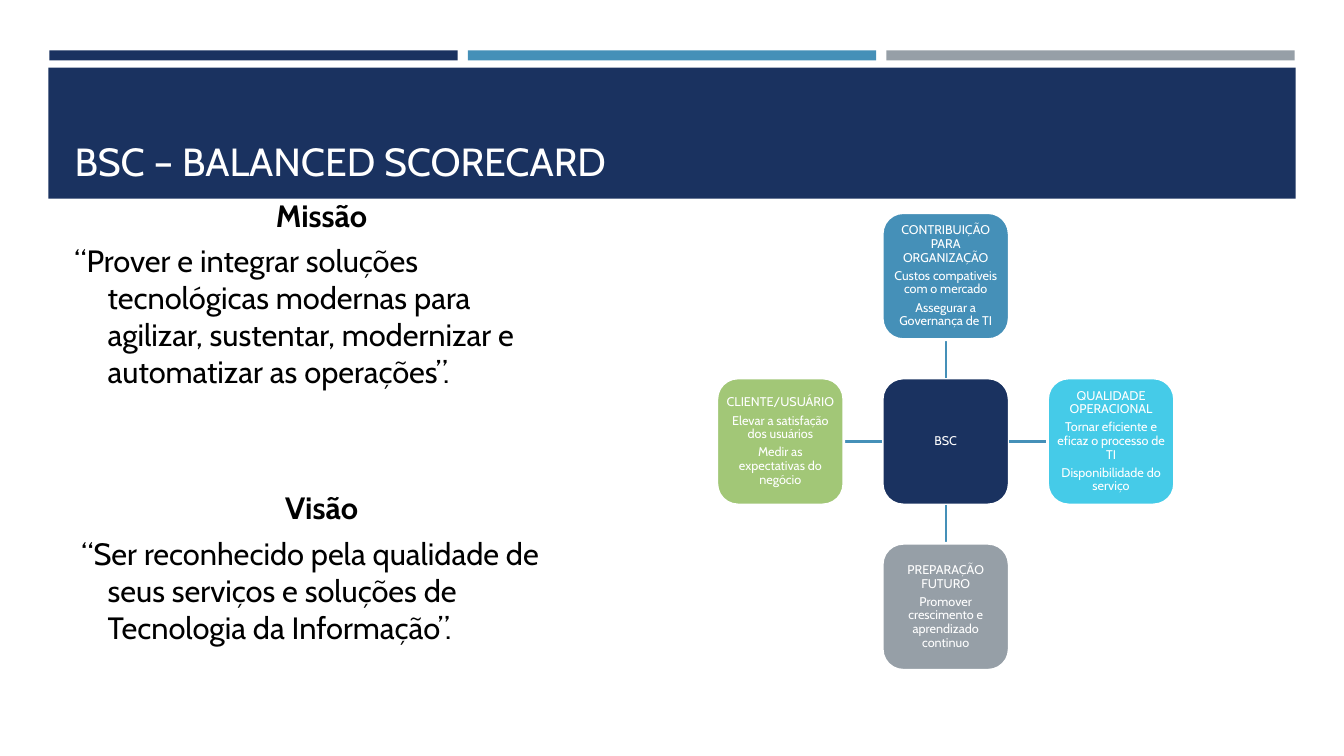
"""Builds the balanced scorecard slide with mission, vision and a BSC map."""
import dataclasses

import lxml.etree
import pptx
import pptx.dml.color
import pptx.enum.shapes
import pptx.enum.text
import pptx.oxml.ns
import pptx.shapes.autoshape
import pptx.slide
import pptx.text.text
import pptx.util

SCALE = 9144
FONT = "Cabin"
NAVY, BLUE, GREY = "1A3260", "4590B8", "969FA7"
GREEN, CYAN, WHITE, BLACK = "A2C777", "45CBE8", "FFFFFF", "000000"
HUB_X, HUB_Y, SIDE, STEP = 875, 375, 126, 164

Kind = pptx.enum.shapes.MSO_SHAPE
Align = pptx.enum.text.PP_ALIGN
Anchor = pptx.enum.text.MSO_ANCHOR


@dataclasses.dataclass
class Bar:
    left: int
    top: int
    width: int
    height: int
    fill: str


@dataclasses.dataclass
class Card:
    col: int
    row: int
    fill: str
    lines: list[str]
    kind: Kind = Kind.ROUNDED_RECTANGLE


@dataclasses.dataclass
class Part:
    head: str
    quote: str
    gap: int


BARS = [
    Bar(49, 50, 405, 10, NAVY),
    Bar(464, 50, 405, 10, BLUE),
    Bar(879, 50, 405, 10, GREY),
    Bar(48, 67, 1237, 130, NAVY),
]

HUB = Card(0, 0, NAVY, ["BSC"])
CARDS = [
    Card(0, -1, BLUE, ["CONTRIBUIÇÃO PARA ORGANIZAÇÃO",
                       "Custos compativeis com o mercado",
                       "Assegurar a Governança de TI"], Kind.FLOWCHART_ALTERNATE_PROCESS),
    Card(1, 0, CYAN, ["QUALIDADE OPERACIONAL",
                      "Tornar eficiente e eficaz o processo de TI",
                      "Disponibilidade do serviço"]),
    Card(0, 1, GREY, ["PREPARAÇÃO FUTURO",
                      "Promover crescimento e aprendizado continuo"]),
    Card(-1, 0, GREEN, ["CLIENTE/USUÁRIO",
                        "Elevar a satisfação dos usuários",
                        "Medir as expectativas do negócio"]),
]

PARTS = [
    Part("Missão", "“Prover e integrar soluções tecnológicas modernas para agilizar, "
         "sustentar, modernizar e automatizar as operações”.", 0),
    Part("Visão", " “Ser reconhecido pela qualidade de seus serviços e soluções "
         "de Tecnologia da Informação”.", 65),
]


def px(count: int) -> pptx.util.Emu:
    """Turn px into EMU."""
    return pptx.util.Emu(count * SCALE)


def paint(target: object, code: str) -> None:
    """Give a fill or a line one plain colour."""
    if hasattr(target, "solid"):
        target.solid()
        target.fore_color.rgb = pptx.dml.color.RGBColor.from_string(code)
    else:
        target.color.rgb = pptx.dml.color.RGBColor.from_string(code)


def style(para: pptx.text.text._Paragraph, size: int, code: str,
          align: Align, bold: bool = False) -> None:
    """Format a paragraph and its runs."""
    para.alignment = align
    for run in para.runs:
        run.font.name = FONT
        run.font.size = pptx.util.Pt(size)
        run.font.bold = bold
        paint(run.font, code)


def draw_bar(slide: pptx.slide.Slide, bar: Bar) -> pptx.shapes.autoshape.Shape:
    """Draw a plain band."""
    shape = slide.shapes.add_shape(
        Kind.RECTANGLE, px(bar.left), px(bar.top), px(bar.width), px(bar.height))
    shape.shadow.inherit = False
    paint(shape.fill, bar.fill)
    shape.line.fill.background()
    return shape


def draw_card(slide: pptx.slide.Slide, card: Card) -> None:
    """Draw a card at its place around the hub."""
    shape = slide.shapes.add_shape(
        card.kind, px(HUB_X + card.col * STEP), px(HUB_Y + card.row * STEP),
        px(SIDE), px(SIDE))
    shape.shadow.inherit = False
    paint(shape.fill, card.fill)
    paint(shape.line, WHITE)
    shape.line.width = pptx.util.Pt(2)
    frame = shape.text_frame
    frame.word_wrap = True
    frame.vertical_anchor = Anchor.MIDDLE
    frame.margin_left = frame.margin_right = px(1)
    frame.margin_top = frame.margin_bottom = px(1)
    frame.text = "\n".join(card.lines)
    for para in frame.paragraphs:
        style(para, 9, WHITE, Align.CENTER)
        para.line_spacing = 0.9
        para.space_after = pptx.util.Pt(3.2)


def draw_link(slide: pptx.slide.Slide, card: Card) -> None:
    """Draw the line from the hub edge to a card edge."""
    half = SIDE // 2
    mid_x, mid_y = HUB_X + half, HUB_Y + half
    near, far = half, STEP - half
    link = slide.shapes.add_connector(
        pptx.enum.shapes.MSO_CONNECTOR.STRAIGHT,
        px(mid_x + card.col * near), px(mid_y + card.row * near),
        px(mid_x + card.col * far), px(mid_y + card.row * far))
    paint(link.line, BLUE)
    link.line.width = pptx.util.Pt(1.75)
    lxml.etree.SubElement(link.element.spPr, pptx.oxml.ns.qn("a:effectLst"))


def draw_title(slide: pptx.slide.Slide, band: pptx.shapes.autoshape.Shape) -> None:
    """Set the title on top of its band."""
    title = slide.shapes.title
    band.element.addnext(title.element)
    title.left, title.top, title.width, title.height = px(64), px(77), px(1206), px(111)
    frame = title.text_frame
    frame.text = "BSC – BALANCED SCORECARD"
    frame.vertical_anchor = Anchor.BOTTOM
    frame.auto_size = pptx.enum.text.MSO_AUTO_SIZE.NONE
    style(frame.paragraphs[0], 28, WHITE, Align.LEFT)


def draw_body(slide: pptx.slide.Slide) -> None:
    """Write the mission and the vision."""
    frame = slide.shapes.add_textbox(px(64), px(239), px(510), px(402)).text_frame
    frame.word_wrap = True
    frame.vertical_anchor = Anchor.MIDDLE
    frame.margin_bottom = px(50)
    frame.text = "\n".join(text for part in PARTS for text in (part.head, part.quote))
    for para in frame.paragraphs:
        para.space_after = pptx.util.Pt(6)
        props = para._p.get_or_add_pPr()
        props.set("marL", str(px(33)))
        props.set("indent", str(px(-33)))
    for part, head, quote in zip(PARTS, frame.paragraphs[::2], frame.paragraphs[1::2]):
        style(head, 22, BLACK, Align.CENTER, True)
        head.space_before = pptx.util.Pt(part.gap)
        style(quote, 22, BLACK, Align.LEFT)


def main() -> None:
    """Build and save the deck."""
    deck = pptx.Presentation()
    deck.slide_width, deck.slide_height = px(1333), px(750)
    slide = deck.slides.add_slide(deck.slide_layouts[5])
    bands = [draw_bar(slide, bar) for bar in BARS]
    draw_title(slide, bands[-1])
    draw_body(slide)
    draw_card(slide, HUB)
    for card in CARDS:
        draw_link(slide, card)
        draw_card(slide, card)
    deck.save("out.pptx")


if __name__ == "__main__":
    main()
